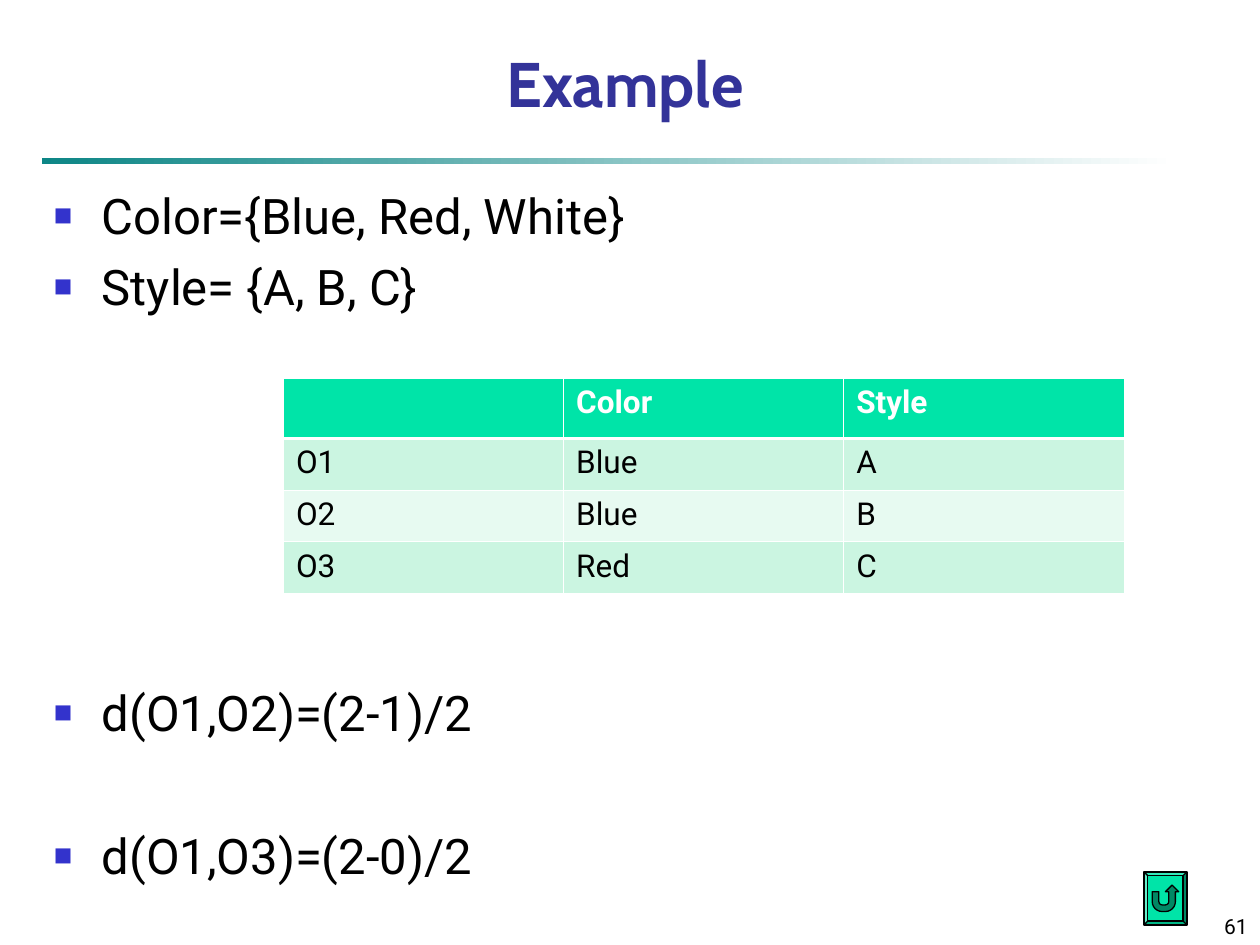
from lxml.etree import SubElement
from pptx import Presentation
from pptx.dml.color import RGBColor
from pptx.enum.shapes import MSO_SHAPE
from pptx.enum.text import MSO_ANCHOR, PP_ALIGN
from pptx.oxml.ns import qn
from pptx.util import Inches, Pt

BLACK, WHITE = "000000", "FFFFFF"
GREEN = "00E4A8"
BANDS = ("E7FAF1", "CBF5E1")
ROWS = [
    ("", "Color", "Style"),
    ("O1", "Blue", "A"),
    ("O2", "Blue", "B"),
    ("O3", "Red", "C"),
]
# Text and space before in points; the large gaps leave room for the table
BULLETS = [
    ("Color={Blue, Red, White}", 0),
    ("Style= {A, B, C}", 7),
    ("d(O1,O2)=(2-1)/2", 210),
    ("d(O1,O3)=(2-0)/2", 48),
]


def rgb(color):
    return RGBColor.from_string(color)


def write(p, text, size=18, font="Roboto", color=BLACK, bold=False,
          align=PP_ALIGN.LEFT, before=0):
    p.alignment = align
    p.space_before = Pt(before)
    r = p.add_run()
    r.text = text
    r.font.size, r.font.name, r.font.bold = Pt(size), font, bold
    r.font.color.rgb = rgb(color)


def add_box(s, x, y, w, h, anchor=MSO_ANCHOR.TOP):
    tf = s.shapes.add_textbox(Inches(x), Inches(y), Inches(w), Inches(h)).text_frame
    tf.word_wrap = True
    tf.vertical_anchor = anchor
    return tf


def add_shape(s, kind, x, y, w, h):
    sp = s.shapes.add_shape(kind, Inches(x), Inches(y), Inches(w), Inches(h))
    sp.shadow.inherit = False
    return sp


def set_bullet(p):
    pPr = p._p.get_or_add_pPr()
    pPr.set("marL", str(Inches(0.38)))
    pPr.set("indent", str(-Inches(0.38)))
    SubElement(SubElement(pPr, qn("a:buClr")), qn("a:srgbClr"), val="3333CC")
    SubElement(pPr, qn("a:buSzPct"), val="40000")
    SubElement(pPr, qn("a:buFont"), typeface="Roboto")
    SubElement(pPr, qn("a:buChar"), char="■")


def set_borders(cell, **widths):
    """Draw white borders; widths are points by side: L, R, T, B."""
    tcPr = cell._tc.get_or_add_tcPr()
    for side, width in widths.items():
        ln = SubElement(tcPr, qn(f"a:ln{side}"), w=str(Pt(width)))
        SubElement(SubElement(ln, qn("a:solidFill")), qn("a:srgbClr"), val=WHITE)


def add_bullets(s):
    tf = add_box(s, 0.33, 1.42, 9.17, 5.67)
    for i, (text, before) in enumerate(BULLETS):
        p = tf.add_paragraph() if i else tf.paragraphs[0]
        set_bullet(p)
        write(p, text, size=28, before=before)


def add_object_table(s):
    frame = s.shapes.add_table(len(ROWS), len(ROWS[0]), Inches(2.25), Inches(3),
                               Inches(6.67), Inches(1.71))
    table = frame.table
    for i, row in enumerate(ROWS):
        header = i == 0
        table.rows[i].height = Inches(0.48 if header else 0.41)
        for j, text in enumerate(row):
            cell = table.cell(i, j)
            set_borders(cell, L=0.45, R=0.45, T=1.47 if i == 1 else 0.45,
                        B=1.47 if header else 0.45)
            cell.fill.solid()
            cell.fill.fore_color.rgb = rgb(GREEN if header else BANDS[i % 2])
            if text:
                write(cell.text_frame.paragraphs[0], text,
                      color=WHITE if header else BLACK, bold=header)


def add_title_rule(s):
    sp = add_shape(s, MSO_SHAPE.RECTANGLE, 0.33, 1.25, 9, 0.05)
    sp.line.fill.background()
    sp.fill.gradient()
    sp.fill.gradient_angle = 0
    for stop, color in zip(sp.fill.gradient_stops, ("0D8686", WHITE)):
        stop.color.rgb = rgb(color)


def add_return_button(s):
    """Set the return button inside a bevelled frame."""
    frame = add_shape(s, MSO_SHAPE.BEVEL, 9.08, 6.92, 0.34, 0.42)
    frame.adjustments[0] = 0.08
    button = add_shape(s, MSO_SHAPE.ACTION_BUTTON_RETURN, 9.11, 6.95, 0.28, 0.36)
    for sp in (frame, button):
        sp.fill.solid()
        sp.fill.fore_color.rgb = rgb(GREEN)
        sp.line.color.rgb = rgb(BLACK)
        sp.line.width = Pt(0.75)


def main():
    prs = Presentation()
    prs.slide_width, prs.slide_height = Inches(10), Inches(7.5)
    s = prs.slides.add_slide(prs.slide_layouts[6])
    add_title_rule(s)
    title = add_box(s, 0.17, 0.33, 9.58, 0.67, MSO_ANCHOR.BOTTOM)
    write(title.paragraphs[0], "Example", size=36, font="Cabin", color="333399",
          bold=True, align=PP_ALIGN.CENTER)
    add_bullets(s)
    number = add_box(s, 7.92, 7.08, 2.08, 0.42, MSO_ANCHOR.BOTTOM)
    write(number.paragraphs[0], "61", size=12, align=PP_ALIGN.RIGHT)
    add_object_table(s)
    add_return_button(s)
    prs.save("out.pptx")


if __name__ == "__main__":
    main()
